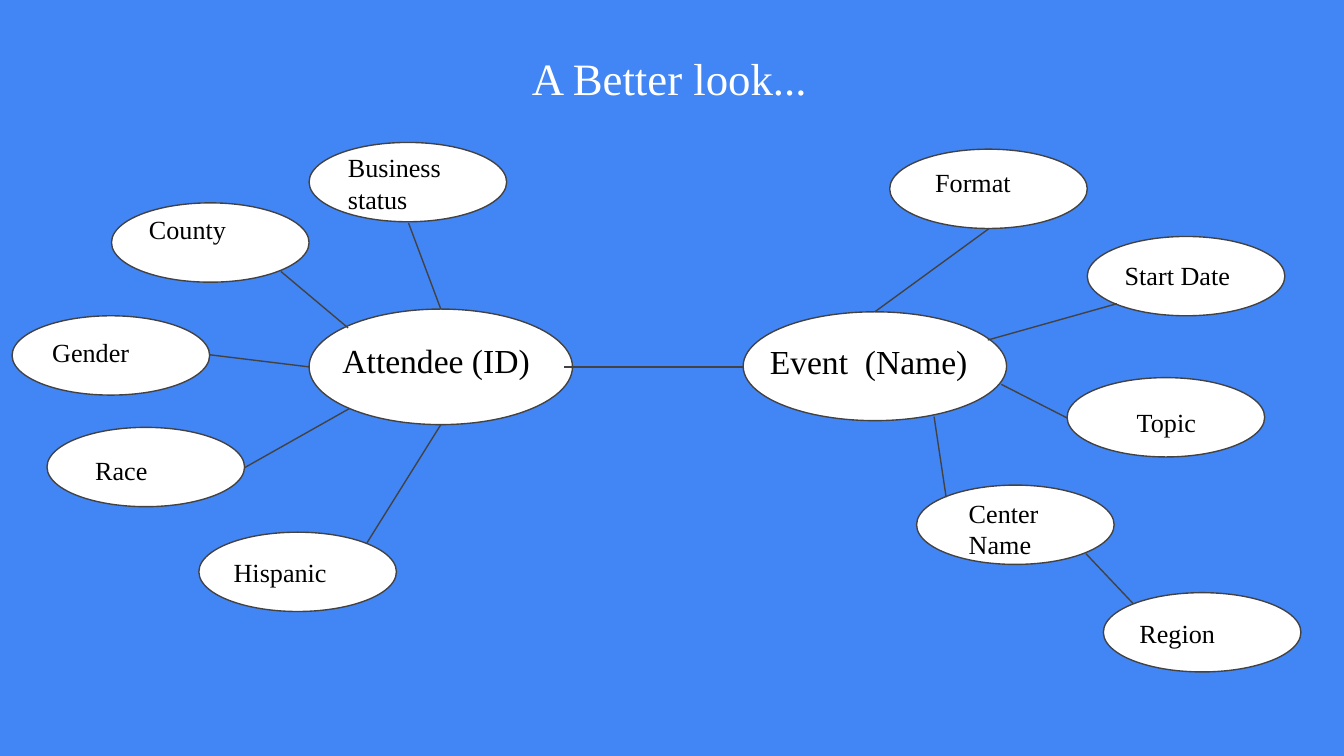
from lxml.etree import SubElement
from pptx import Presentation
from pptx.dml.color import RGBColor
from pptx.enum.shapes import MSO_CONNECTOR, MSO_SHAPE
from pptx.enum.text import MSO_ANCHOR, PP_ALIGN
from pptx.oxml.ns import qn
from pptx.util import Inches, Pt

COLORS = {"background": "4285F4", "oval": "FFFFFF", "outline": "424242",
          "label": "000000", "title": "FFFFFF"}
ATTRIBUTE_SIZE = (1.47, 0.59)

deck = Presentation()
deck.slide_width = Inches(10)
deck.slide_height = Inches(10) * 9 // 16
slide = deck.slides.add_slide(deck.slide_layouts[6])
slide.background.fill.solid()
slide.background.fill.fore_color.rgb = RGBColor.from_string(COLORS["background"])


def add_text(text, box, size=14, color="label", align=PP_ALIGN.LEFT):
    frame = slide.shapes.add_textbox(*map(Inches, box)).text_frame
    frame.word_wrap = True
    frame.vertical_anchor = MSO_ANCHOR.TOP
    frame.margin_left = frame.margin_right = Inches(0.1)
    frame.margin_top = frame.margin_bottom = Inches(0.1)
    paragraph = frame.paragraphs[0]
    paragraph.alignment = align
    run = paragraph.add_run()
    run.text = text
    run.font.name = "Times New Roman"
    run.font.size = Pt(size)
    run.font.color.rgb = RGBColor.from_string(COLORS[color])


def add_oval(position, size):
    oval = slide.shapes.add_shape(MSO_SHAPE.OVAL, *map(Inches, position + size))
    oval.shadow.inherit = False
    oval.fill.solid()
    oval.fill.fore_color.rgb = RGBColor.from_string(COLORS["oval"])
    oval.line.color.rgb = RGBColor.from_string(COLORS["outline"])
    oval.line.width = Pt(0.75)


entities = [
    ("Attendee (ID)", (2.3, 2.3), (1.96, 0.86), (2.45, 2.43, 1.76, 0.59)),
    ("Event  (Name)", (5.53, 2.32), (1.96, 0.81), (5.63, 2.44, 1.96, 0.42)),
]
attributes = [
    ("County", (0.83, 1.51), (1.01, 1.49, 1.08, 0.52)),
    ("Gender", (0.09, 2.35), (0.29, 2.4, 1.07, 0.44)),
    ("Race", (0.35, 3.18), (0.61, 3.28, 0.96, 0.59)),
    ("Hispanic", (1.48, 3.96), (1.64, 4.04, 1.2, 0.42)),
    ("Business status", (2.3, 1.06), (2.49, 1.03, 1.2, 0.52)),
    ("Format", (6.62, 1.11), (6.86, 1.14, 1.03, 0.44)),
    ("Start Date", (8.09, 1.76), (8.27, 1.83, 1.2, 0.44)),
    ("Topic", (7.94, 2.81), (8.36, 2.92, 1.26, 0.38)),
    ("Center Name", (6.82, 3.61), (7.11, 3.6, 1.03, 0.52)),
    ("Region", (8.21, 4.41), (8.38, 4.49, 1.2, 0.38)),
]
relations = [
    (4.2, 2.73, 5.53, 2.73),
    (3.04, 1.66, 3.28, 2.3),
    (2.09, 2.02, 2.59, 2.44),
    (1.56, 2.64, 2.3, 2.73),
    (1.82, 3.48, 2.6, 3.04),
    (2.73, 4.04, 3.28, 3.16),
    (6.51, 2.32, 7.36, 1.7),
    (7.35, 2.53, 8.31, 2.26),
    (7.45, 2.86, 7.94, 3.11),
    (6.95, 3.1, 7.04, 3.7),
    (8.08, 4.12, 8.43, 4.49),
]

for name, position, size, label_box in entities:
    add_oval(position, size)
    add_text(name, label_box, size=18)

for name, position, label_box in attributes:
    add_oval(position, ATTRIBUTE_SIZE)

for ends in relations:
    relation = slide.shapes.add_connector(MSO_CONNECTOR.STRAIGHT, *map(Inches, ends))
    relation.line.color.rgb = RGBColor.from_string(COLORS["outline"])
    relation.line.width = Pt(0.75)
    SubElement(relation._element.spPr, qn("a:effectLst"))

for name, position, label_box in attributes:
    add_text(name, label_box)

add_text("A Better look...", (2.73, 0.28, 4.5, 0.64), size=24, color="title",
         align=PP_ALIGN.CENTER)

deck.save("out.pptx")
